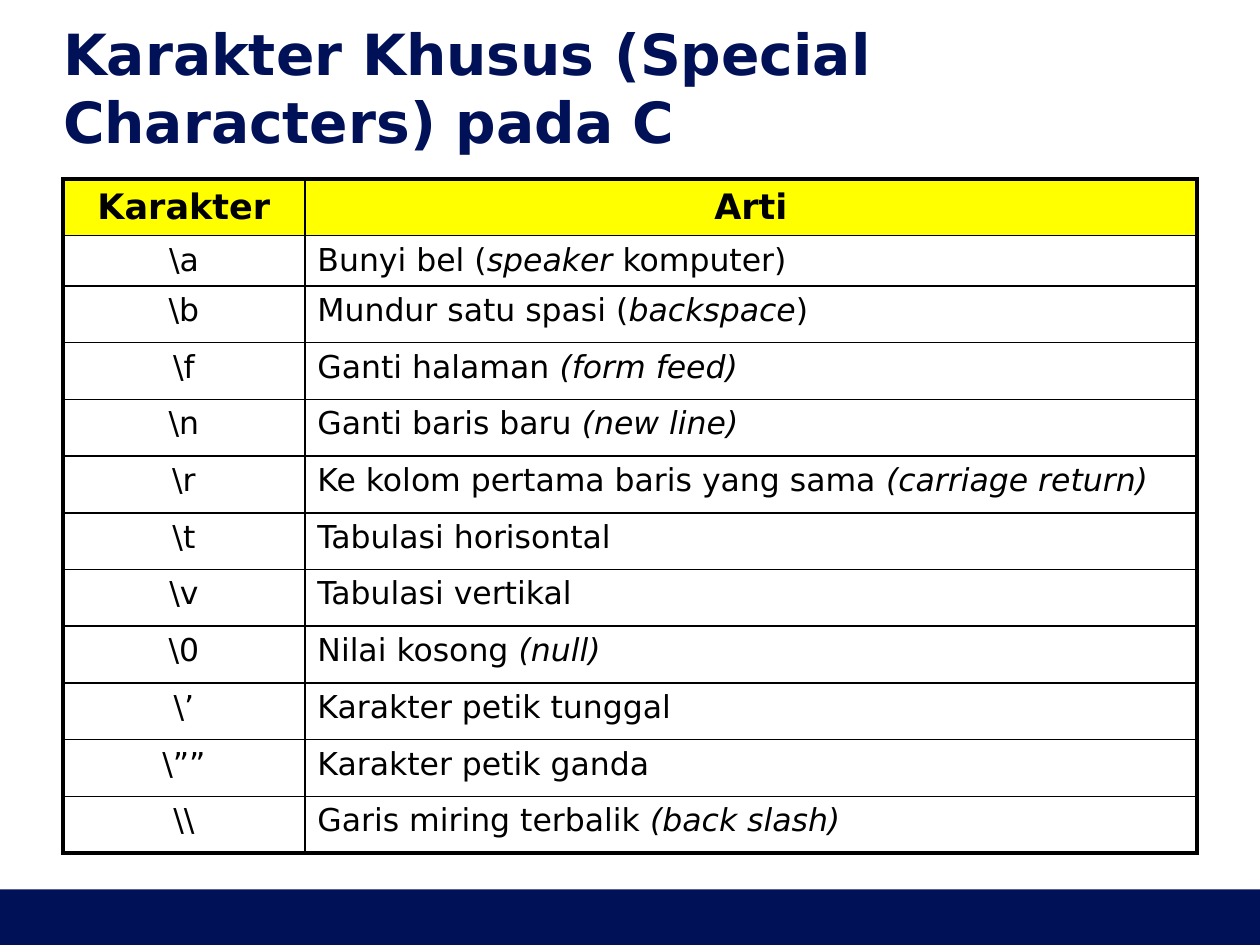
from dataclasses import dataclass

from lxml import etree
from pptx import Presentation
from pptx import util as u
from pptx.dml.color import RGBColor
from pptx.enum import shapes, text
from pptx.oxml.ns import qn

SCALE = 9144  # EMU per px, 100 px to the inch


@dataclass(frozen=True)
class Theme:
    font: str = "DejaVu Sans"
    navy: str = "001158"
    head: str = "FFFF00"
    ink: str = "000000"
    title: float = 32.4
    label: float = 20
    body: float = 18
    thin: float = 1
    thick: float = 2.25


T = Theme()
COLS = [192, 708]
HEAD = ("Karakter", "Arti")
# Asterisks enclose italic words
ROWS = [
    (r"\a", "Bunyi bel (*speaker *komputer)"),
    (r"\b", "Mundur satu spasi (*backspace*)"),
    (r"\f", "Ganti halaman *(form feed)*"),
    (r"\n", "Ganti baris baru *(new line)*"),
    (r"\r", "Ke kolom pertama baris yang sama *(carriage return)*"),
    (r"\t", "Tabulasi horisontal"),
    (r"\v", "Tabulasi vertikal"),
    (r"\0", "Nilai kosong *(null)*"),
    (r"\’", "Karakter petik tunggal"),
    (r"\””", "Karakter petik ganda"),
    (r"\\", "Garis miring terbalik *(back slash)*"),
]


def px(*vals):
    return [u.Emu(v * SCALE) for v in vals]


def put(obj, form):
    for key, val in form.items():
        setattr(obj, key, val)


def write(frame, words, size, color, bold=False, align=text.PP_ALIGN.LEFT):
    par = frame.paragraphs[0]
    par.alignment = align
    for i, part in enumerate(words.split("*")):
        if part:
            run = par.add_run()
            run.text = part
            put(run.font, {"name": T.font, "size": u.Pt(size),
                           "bold": bold, "italic": i % 2 == 1})
            run.font.color.rgb = RGBColor.from_string(color)


def edge(cell, side, width):
    line = etree.SubElement(cell._tc.get_or_add_tcPr(), qn(f"a:ln{side}"),
                            w=str(u.Pt(width)))
    fill = etree.SubElement(line, qn("a:solidFill"))
    etree.SubElement(fill, qn("a:srgbClr"), val=T.ink)


def footer(slide, box):
    bar = slide.shapes.add_shape(shapes.MSO_SHAPE.RECTANGLE, *px(*box))
    bar.shadow.inherit = False
    bar.fill.solid()
    bar.fill.fore_color.rgb = RGBColor.from_string(T.navy)
    bar.line.fill.background()


def heading(slide, box, words):
    shape = slide.shapes.title
    put(shape, dict(zip(("left", "top", "width", "height"), px(*box))))
    frame = shape.text_frame
    put(frame, {"margin_left": 0, "margin_right": 0, "margin_top": 0,
                "margin_bottom": 0, "word_wrap": True,
                "auto_size": text.MSO_AUTO_SIZE.NONE,
                "vertical_anchor": text.MSO_ANCHOR.MIDDLE})
    write(frame, words, T.title, T.navy, bold=True)
    frame.paragraphs[0].line_spacing = 1.0


def chars(slide, box):
    data = [HEAD, *ROWS]
    last = len(data) - 1
    grid = slide.shapes.add_table(len(data), len(COLS), *px(*box)).table
    put(grid, {"first_row": False, "horz_banding": False})
    for col, wide in zip(grid.columns, px(*COLS)):
        col.width = wide
    for r, row in enumerate(data):
        # The first row below the head is a little lower
        grid.rows[r].height = px(40 if r == 1 else 45)[0]
        for c, words in enumerate(row):
            cell = grid.cell(r, c)
            top = r == 0
            # The outer frame is thick, the inner lines thin
            outer = {"L": c == 0, "R": c == 1, "T": top, "B": r == last}
            for side, thick in outer.items():
                edge(cell, side, T.thick if thick else T.thin)
            if top:
                cell.fill.solid()
                cell.fill.fore_color.rgb = RGBColor.from_string(T.head)
                cell.vertical_anchor = text.MSO_ANCHOR.MIDDLE
            else:
                cell.fill.background()
            mid = top or c == 0
            write(cell.text_frame, words, T.label if top else T.body, T.ink,
                  top, text.PP_ALIGN.CENTER if mid else text.PP_ALIGN.LEFT)


def main():
    deck = Presentation()
    deck.slide_width, deck.slide_height = px(1000, 750)
    slide = deck.slides.add_slide(deck.slide_layouts[5])
    footer(slide, (0, 706, 1000, 44))
    heading(slide, (50, 30, 900, 78),
            "Karakter Khusus (Special Characters) pada C")
    chars(slide, (50, 142, 900, 535))
    deck.save("out.pptx")


if __name__ == "__main__":
    main()
